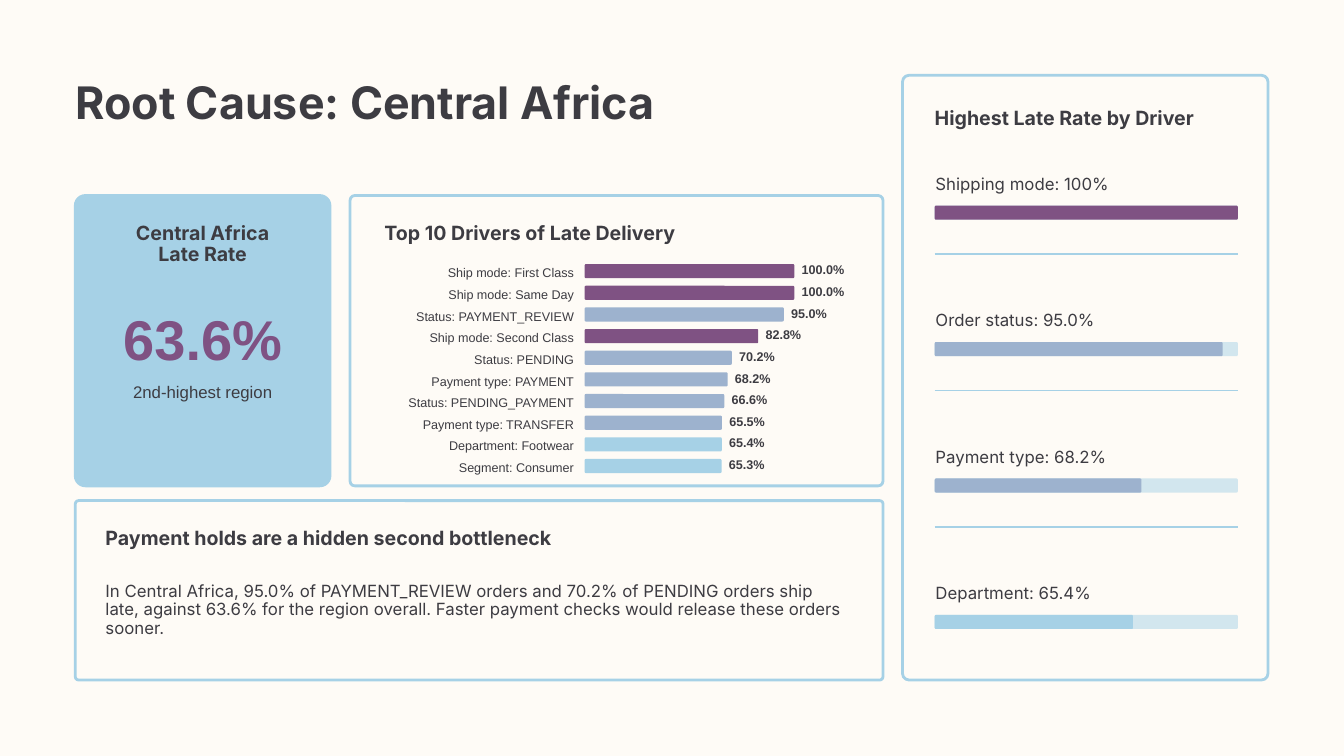
from dataclasses import dataclass

from pptx import Presentation
from pptx.dml.color import RGBColor
from pptx.enum.shapes import MSO_CONNECTOR, MSO_SHAPE
from pptx.enum.text import MSO_AUTO_SIZE, PP_ALIGN as Align
from pptx.oxml.ns import qn
from pptx.util import Inches, Pt


@dataclass(frozen=True)
class Theme:
    paper: str = "FEFBF6"
    ink: str = "3D3C42"
    sky: str = "A6D1E6"
    plum: str = "7F5283"
    steel: str = "9DB2CE"
    track: str = "D2E6EE"
    heading_font: str = "Inter"
    data_font: str = "Arial"
    title: float = 48
    figure: float = 60
    heading: float = 21
    body: float = 18
    label: float = 13.5
    border: float = 3
    divider: float = 1.5
    leading: float = 1.1


class SlideBuilder:
    def __init__(self, slide, theme):
        self.slide = slide
        self.theme = theme
        background = slide.background.fill
        background.solid()
        background.fore_color.rgb = RGBColor.from_string(theme.paper)

    def rounded(self, left, top, width, height, radius, fill=None, border=None):
        box = self.slide.shapes.add_shape(
            MSO_SHAPE.ROUNDED_RECTANGLE,
            Inches(left), Inches(top), Inches(width), Inches(height))
        box.shadow.inherit = False
        box.adjustments[0] = radius / min(width, height)
        if fill:
            box.fill.solid()
            box.fill.fore_color.rgb = RGBColor.from_string(fill)
        else:
            box.fill.background()
        if border:
            box.line.color.rgb = RGBColor.from_string(border)
            box.line.width = Pt(self.theme.border)
        else:
            box.line.fill.background()

    def panel(self, left, top, width, height, radius, fill=None):
        self.rounded(left, top, width, height, radius, fill, self.theme.sky)

    def bar(self, left, top, width, color, radius=0.02):
        self.rounded(left, top, width, 0.21, radius, color)

    def divider(self, left, top, width):
        rule = self.slide.shapes.add_connector(
            MSO_CONNECTOR.STRAIGHT, Inches(left), Inches(top),
            Inches(left + width), Inches(top))
        rule.line.color.rgb = RGBColor.from_string(self.theme.sky)
        rule.line.width = Pt(self.theme.divider)
        properties = rule._element.spPr
        properties.append(properties.makeelement(qn("a:effectLst"), {}))

    def text(self, left, top, width, height, lines, size, font=None, bold=False,
             color=None, align=Align.LEFT, spacing=None):
        """Add one paragraph per line; spacing is the line pitch in points."""
        box = self.slide.shapes.add_textbox(
            Inches(left), Inches(top), Inches(width), Inches(height))
        frame = box.text_frame
        frame.word_wrap = True
        frame.auto_size = MSO_AUTO_SIZE.SHAPE_TO_FIT_TEXT
        frame.margin_left = frame.margin_right = 0
        frame.margin_top = frame.margin_bottom = 0
        frame.text = "\n".join(lines)
        for paragraph in frame.paragraphs:
            paragraph.alignment = align
            paragraph.line_spacing = Pt(spacing or size * self.theme.leading)
            paragraph.font.name = font or self.theme.heading_font
            paragraph.font.size = Pt(size)
            paragraph.font.bold = bold
            paragraph.font.color.rgb = RGBColor.from_string(color or self.theme.ink)

    def heading(self, left, top, width, *lines, align=Align.LEFT):
        self.text(left, top, width, 0.32 * len(lines), lines,
                  self.theme.heading, bold=True, align=align)


def add_late_rate_card(builder):
    theme = builder.theme
    left, width = 1.12, 3.79
    builder.panel(left, 2.91, width, 4.32, 0.15, theme.sky)
    builder.heading(left, 3.31, width, "Central Africa", "Late Rate",
                    align=Align.CENTER)
    builder.text(left, 4.61, width, 0.97, ["63.6%"], theme.figure,
                 theme.data_font, bold=True, color=theme.plum, align=Align.CENTER)
    builder.text(left, 5.71, width, 0.3, ["2nd-highest region"], theme.body,
                 theme.data_font, align=Align.CENTER)


def add_top_drivers(builder):
    theme = builder.theme
    drivers = [
        ("Ship mode: First Class", 100.0, theme.plum),
        ("Ship mode: Same Day", 100.0, theme.plum),
        ("Status: PAYMENT_REVIEW", 95.0, theme.steel),
        ("Ship mode: Second Class", 82.8, theme.plum),
        ("Status: PENDING", 70.2, theme.steel),
        ("Payment type: PAYMENT", 68.2, theme.steel),
        ("Status: PENDING_PAYMENT", 66.6, theme.steel),
        ("Payment type: TRANSFER", 65.5, theme.steel),
        ("Department: Footwear", 65.4, theme.sky),
        ("Segment: Consumer", 65.3, theme.sky),
    ]
    pitch = 23.2
    bar_left, bar_top, full_width = 8.7, 3.93, 3.12
    builder.panel(5.21, 2.91, 7.93, 4.32, 0.07)
    builder.heading(5.72, 3.32, 7.29, "Top 10 Drivers of Late Delivery")
    builder.text(5.42, 3.85, 3.12, 3.22, [name for name, _, _ in drivers],
                 theme.label, theme.data_font, align=Align.RIGHT, spacing=pitch)
    for row, (_, rate, color) in enumerate(drivers):
        top = bar_top + row * pitch / 72
        length = full_width * rate / 100
        builder.bar(bar_left, top, length, color)
        builder.text(bar_left + length + 0.11, top - 0.01, 0.94, 0.22,
                     [f"{rate:.1f}%"], theme.label, theme.data_font, bold=True)


def add_payment_insight(builder):
    left, width = 1.57, 11.04
    builder.panel(1.12, 7.45, 12.02, 2.67, 0.05)
    builder.heading(left, 7.86, width, "Payment holds are a hidden second bottleneck")
    builder.text(left, 8.66, width, 0.82, [
        "In Central Africa, 95.0% of PAYMENT_REVIEW orders and 70.2% of PENDING "
        "orders ship late, against 63.6% for the region overall. Faster payment "
        "checks would release these orders sooner."], builder.theme.body)


def add_highest_rates(builder):
    theme = builder.theme
    highest_rates = [
        ("Shipping mode: 100%", 100, theme.plum),
        ("Order status: 95.0%", 95.0, theme.steel),
        ("Payment type: 68.2%", 68.2, theme.steel),
        ("Department: 65.4%", 65.4, theme.sky),
    ]
    left, width, pitch = 13.91, 4.51, 2.03
    builder.panel(13.43, 1.12, 5.44, 9, 0.1)
    builder.heading(left, 1.6, 4.49, "Highest Late Rate by Driver")
    for row, (caption, rate, color) in enumerate(highest_rates):
        offset = row * pitch
        builder.text(left + 0.01, 2.61 + offset, 4.48, 0.28, [caption], theme.body)
        builder.bar(left, 3.06 + offset, width, theme.track)
        builder.bar(left, 3.06 + offset, width * rate / 100, color)
        if row < len(highest_rates) - 1:
            builder.divider(left, 3.78 + offset, width)


def main():
    deck = Presentation()
    deck.slide_width, deck.slide_height = Inches(20), Inches(11.25)
    builder = SlideBuilder(deck.slides.add_slide(deck.slide_layouts[6]), Theme())
    builder.text(1.12, 1.18, 12.31, 0.74, ["Root Cause: Central Africa"],
                 builder.theme.title, bold=True)
    add_late_rate_card(builder)
    add_top_drivers(builder)
    add_payment_insight(builder)
    add_highest_rates(builder)
    deck.save("out.pptx")


if __name__ == "__main__":
    main()
